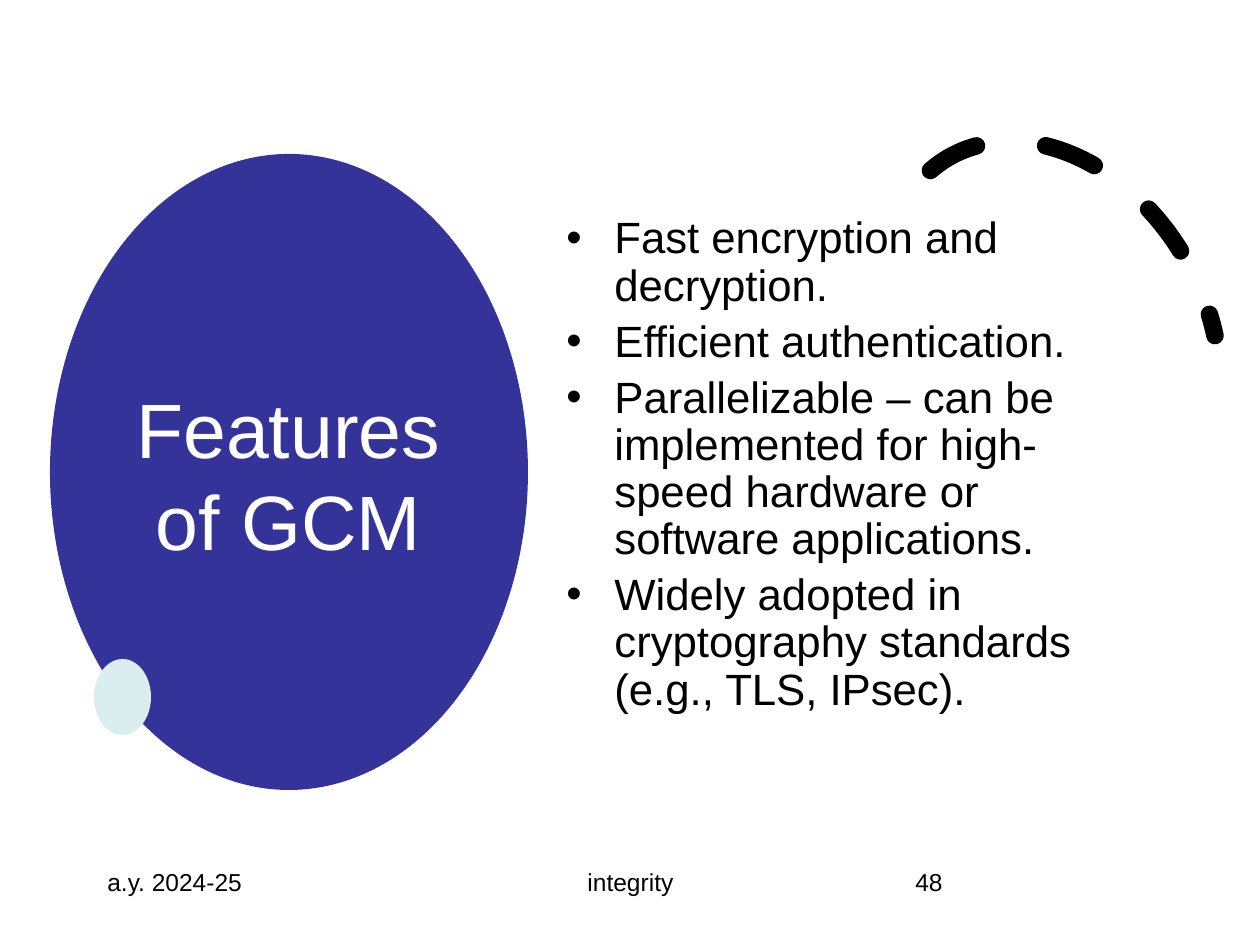
from typing import NamedTuple

from lxml import etree
from pptx import Presentation
from pptx.dml.color import RGBColor
from pptx.enum.dml import MSO_LINE
from pptx.enum.shapes import MSO_SHAPE
from pptx.enum.text import MSO_ANCHOR, PP_ALIGN
from pptx.oxml.ns import qn
from pptx.util import Pt

EMU_PER_PX = 914400 / 126
ELLIPSE, ARC = MSO_SHAPE.OVAL, MSO_SHAPE.ARC
LEFT, CENTER = PP_ALIGN.LEFT, PP_ALIGN.CENTER
TOP, MIDDLE = MSO_ANCHOR.TOP, MSO_ANCHOR.MIDDLE
DASH = MSO_LINE.DASH
COLORS = {"indigo": "333399", "mint": "DAEDEF", "black": "000000", "white": "FFFFFF"}
FONT = "Arial"
BULLET_INDENT = 48


class Box(NamedTuple):
    left: int
    top: int
    width: int
    height: int


class FooterItem(NamedTuple):
    text: str
    left: int
    width: int
    align: PP_ALIGN


FEATURES = [
    "Fast encryption and decryption.",
    "Efficient authentication.",
    "Parallelizable – can be implemented for high-speed hardware or software applications.",
    "Widely adopted in cryptography standards (e.g., TLS, IPsec).",
]
FOOTER_TOP, FOOTER_HEIGHT = 861, 63
FOOTER = [
    FooterItem("a.y. 2024-25", 95, 262, LEFT),
    FooterItem("integrity", 431, 399, CENTER),
    FooterItem("48", 903, 262, LEFT),
]


def px(length: int) -> int:
    return round(length * EMU_PER_PX)


def place(box: Box) -> list[int]:
    return [px(length) for length in box]


def color(name: str) -> RGBColor:
    return RGBColor.from_string(COLORS[name])


def add_ellipse(slide, box: Box, fill: str) -> None:
    shape = slide.shapes.add_shape(ELLIPSE, *place(box))
    shape.shadow.inherit = False
    shape.fill.solid()
    shape.fill.fore_color.rgb = color(fill)
    shape.line.fill.background()


def add_dashed_arc(slide, box: Box) -> None:
    shape = slide.shapes.add_shape(ARC, *place(box))
    shape.shadow.inherit = False
    shape.rotation = 330.2
    shape.adjustments[0] = 158.17
    shape.adjustments[1] = 17.81
    shape.fill.background()
    shape.line.color.rgb = color("black")
    shape.line.width = Pt(10)
    shape.line.dash_style = DASH
    shape.line._get_or_add_ln().set("cap", "rnd")


def add_bullet(paragraph) -> None:
    """Give the paragraph a round bullet with a hanging indent."""
    properties = paragraph._p.get_or_add_pPr()
    properties.set("marL", str(px(BULLET_INDENT)))
    properties.set("indent", str(-px(BULLET_INDENT)))
    etree.SubElement(properties, qn("a:buFont")).set("typeface", FONT)
    etree.SubElement(properties, qn("a:buChar")).set("char", "•")


def add_text(slide, box: Box, lines: list[str], *, size: int, ink: str = "black",
             align: PP_ALIGN = LEFT, anchor: MSO_ANCHOR = TOP, bullets: bool = False,
             line_spacing: float = 1.0, space_before: int = 0) -> None:
    frame = slide.shapes.add_textbox(*place(box)).text_frame
    frame.word_wrap = True
    frame.vertical_anchor = anchor
    for index, line in enumerate(lines):
        paragraph = frame.add_paragraph() if index else frame.paragraphs[0]
        if bullets:
            add_bullet(paragraph)
        paragraph.alignment = align
        paragraph.line_spacing = line_spacing
        paragraph.space_before = Pt(space_before if index else 0)
        run = paragraph.add_run()
        run.text = line
        run.font.name = FONT
        run.font.size = Pt(size)
        run.font.color.rgb = color(ink)


def main() -> None:
    presentation = Presentation()
    presentation.slide_width, presentation.slide_height = px(1260), px(945)
    slide = presentation.slides.add_slide(presentation.slide_layouts[6])

    add_ellipse(slide, Box(50, 154, 478, 636), "indigo")
    add_text(slide, Box(121, 193, 335, 561), ["Features of GCM"],
             size=44, ink="white", align=CENTER, anchor=MIDDLE)
    add_dashed_arc(slide, Box(897, 130, 309, 412))
    add_ellipse(slide, Box(94, 659, 57, 76), "mint")
    add_text(slide, Box(554, 210, 572, 542), FEATURES,
             size=25, bullets=True, line_spacing=0.9, space_before=5)
    for item in FOOTER:
        add_text(slide, Box(item.left, FOOTER_TOP, item.width, FOOTER_HEIGHT),
                 [item.text], size=14, align=item.align)

    presentation.save("out.pptx")


if __name__ == "__main__":
    main()
